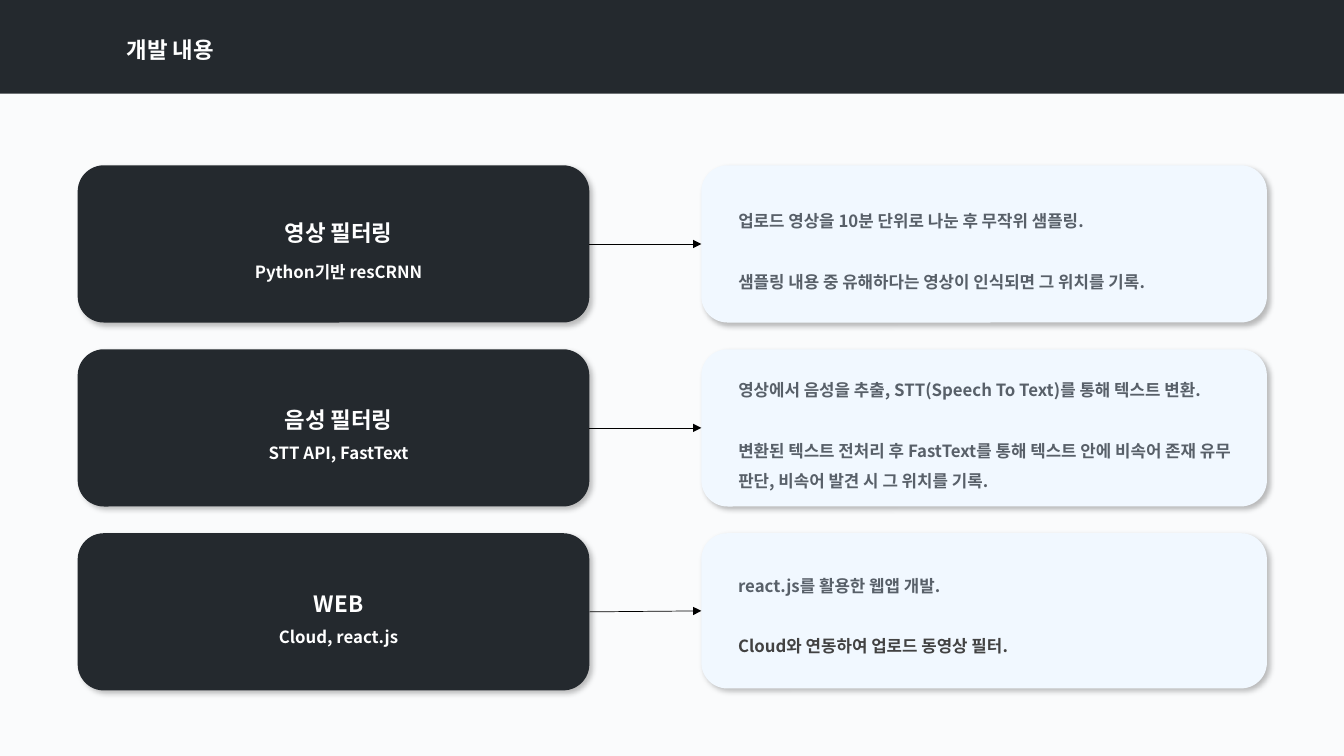
from dataclasses import dataclass

from lxml import etree
from pptx import Presentation
from pptx import util as u
from pptx.dml.color import RGBColor
from pptx.enum import shapes, text
from pptx.oxml import ns


@dataclass(frozen=True)
class Theme:
    font: str = "Noto Sans CJK KR"
    page: str = "FAFBFC"
    dark: str = "24292E"
    pale: str = "F1F8FF"
    white: str = "FFFFFF"
    grey: str = "586069"
    charcoal: str = "424242"
    black: str = "000000"
    heading: int = 16
    body: int = 12
    spacing: float = 1.5


THEME = Theme()


def add_child(parent, tag, **attributes):
    return etree.SubElement(parent, ns.qn(tag), attributes)


def write(frame, content, *, size, color, align=text.PP_ALIGN.LEFT, gap=0):
    """Add one paragraph, filling the empty first one if there is no text yet."""
    paragraph = frame.add_paragraph() if frame.text else frame.paragraphs[0]
    paragraph.alignment = align
    paragraph.line_spacing = THEME.spacing
    paragraph.space_before = u.Pt(gap)
    run = paragraph.add_run()
    run.text = content
    run.font.name = THEME.font
    run.font.size = u.Pt(size)
    run.font.bold = True
    run.font.color.rgb = RGBColor.from_string(color)
    add_child(run.font._element, "a:ea", typeface=THEME.font)


class SlideBuilder:
    def __init__(self, presentation, theme):
        self.theme = theme
        self.slide = presentation.slides.add_slide(presentation.slide_layouts[6])
        background = self.slide.background.fill
        background.solid()
        background.fore_color.rgb = RGBColor.from_string(theme.page)

    def block(self, kind, box, color):
        block = self.slide.shapes.add_shape(kind, *map(u.Pt, box))
        block.shadow.inherit = False
        block.fill.solid()
        block.fill.fore_color.rgb = RGBColor.from_string(color)
        block.line.fill.background()
        return block

    def card(self, box, color, insets):
        card = self.block(shapes.MSO_SHAPE.ROUNDED_RECTANGLE, box, color)
        effects = card._element.spPr.find(ns.qn("a:effectLst"))
        shadow = add_child(effects, "a:outerShdw", blurRad=str(u.Pt(4)), dist=str(u.Pt(3)),
                           dir="2700000", algn="tl", rotWithShape="0")
        tint = add_child(shadow, "a:srgbClr", val=self.theme.black)
        add_child(tint, "a:alpha", val="25000")
        frame = card.text_frame
        frame.word_wrap = True
        frame.vertical_anchor = text.MSO_ANCHOR.MIDDLE
        frame.margin_left, frame.margin_top, frame.margin_right, frame.margin_bottom = map(u.Pt, insets)
        return card

    def label(self, box, content, **style):
        frame = self.slide.shapes.add_textbox(*map(u.Pt, box)).text_frame
        frame.word_wrap = True
        write(frame, content, **style)

    def arrow(self, source, target):
        arrow = self.slide.shapes.add_connector(shapes.MSO_CONNECTOR.STRAIGHT, 0, 0, 0, 0)
        arrow.begin_connect(source, 3)
        arrow.end_connect(target, 1)
        arrow.line.width = u.Pt(0.5)
        arrow.line.color.rgb = RGBColor.from_string(self.theme.black)
        add_child(arrow.line._get_or_add_ln(), "a:tailEnd", type="triangle")
        add_child(arrow._element.spPr, "a:effectLst")


# Topic, tools, gap between them, explanation with colours, its top inset, its height
FEATURES = [
    ("영상 필터링", "Python기반 resCRNN", 3.6,
     [("업로드 영상을 10분 단위로 나눈 후 무작위 샘플링.", THEME.grey),
      ("샘플링 내용 중 유해하다는 영상이 인식되면 그 위치를 기록.", THEME.grey)], 7.2, 112.3),
    ("음성 필터링", "STT API, FastText", 0,
     [("영상에서 음성을 추출, STT(Speech To Text)를 통해 텍스트 변환.", THEME.grey),
      ("변환된 텍스트 전처리 후 FastText를 통해 텍스트 안에 비속어 존재 유무 판단, "
       "비속어 발견 시 그 위치를 기록.", THEME.grey)], 7.2, 112.3),
    ("WEB", "Cloud, react.js", 0,
     [("react.js를 활용한 웹앱 개발.", THEME.grey),
      ("Cloud와 연동하여 업로드 동영상 필터.", THEME.charcoal)], 3.6, 110.9),
]
FIRST_TOP, ROW_PITCH, TOPIC_HEIGHT = 118.1, 131.4, 112.3
DETAIL_GAP = 21.6


def main():
    presentation = Presentation()
    presentation.slide_width, presentation.slide_height = u.Pt(960), u.Pt(540)
    page = SlideBuilder(presentation, THEME)

    # Header band
    page.block(shapes.MSO_SHAPE.RECTANGLE, (0, 0, 960, 67), THEME.dark)
    page.label((83.5, 13, 480, 32.4), "개발 내용", size=THEME.heading, color=THEME.white)

    # One row per feature: topic card, arrow, explanation card
    for row, (topic, tools, tools_gap, details, top_inset, height) in enumerate(FEATURES):
        top = FIRST_TOP + row * ROW_PITCH
        topic_card = page.card((55.5, top, 365.5, TOPIC_HEIGHT), THEME.dark, (14.4, 3.6, 7.2, 3.6))
        for content, size, gap in ((topic, THEME.heading, 0), (tools, THEME.body, tools_gap)):
            write(topic_card.text_frame, content, size=size, color=THEME.white,
                  align=text.PP_ALIGN.CENTER, gap=gap)

        detail_card = page.card((501, top, 404, height), THEME.pale, (20.9, top_inset, 14.4, 3.6))
        for order, (content, color) in enumerate(details):
            write(detail_card.text_frame, content, size=THEME.body, color=color,
                  gap=DETAIL_GAP * order)

        page.arrow(topic_card, detail_card)

    presentation.save("out.pptx")


if __name__ == "__main__":
    main()
